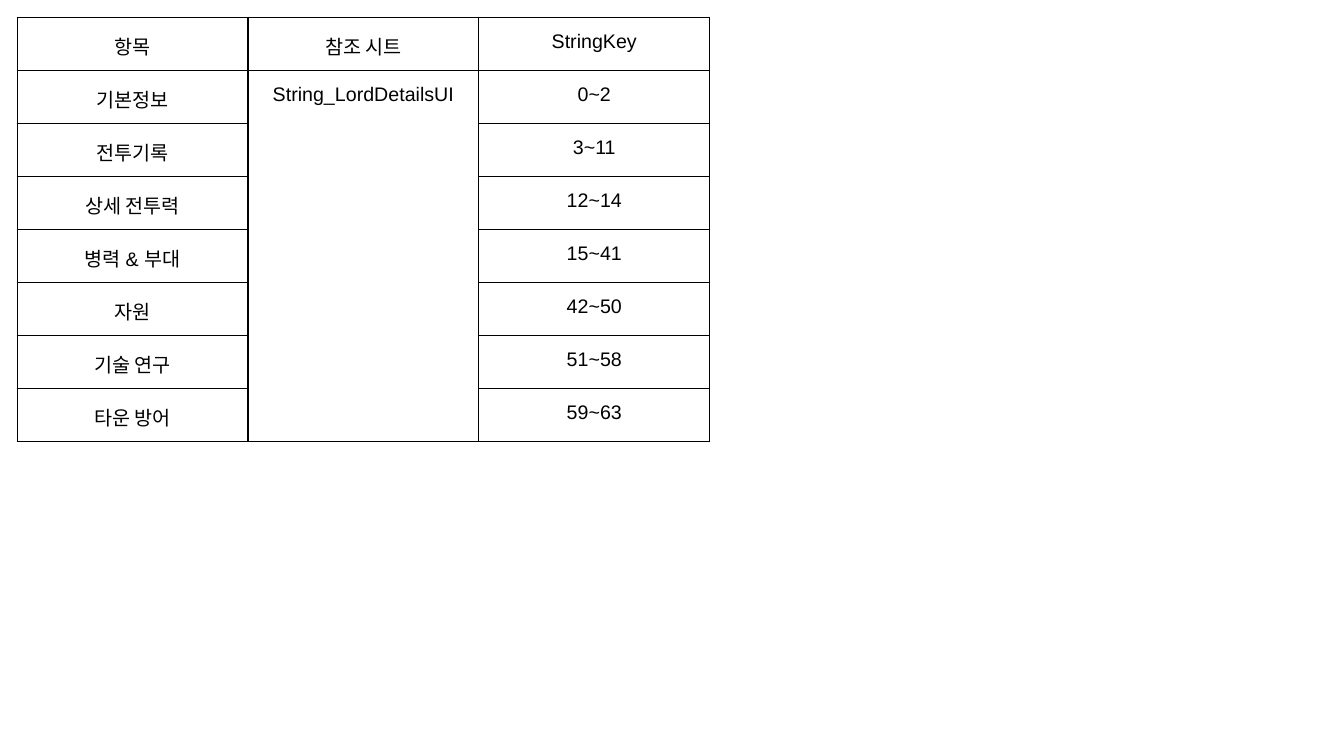
import lxml.etree
import pptx
import pptx.dml.color
import pptx.enum.text
import pptx.oxml.ns
import pptx.util

Inches = pptx.util.Inches
Pt = pptx.util.Pt

COLORS = {"text": "000000", "border": "000000"}
HEADERS = ["항목", "참조 시트", "StringKey"]
SHEET_NAME = "String_LordDetailsUI"
KEY_RANGES = [
    ("기본정보", "0~2"),
    ("전투기록", "3~11"),
    ("상세 전투력", "12~14"),
    ("병력 & 부대", "15~41"),
    ("자원", "42~50"),
    ("기술 연구", "51~58"),
    ("타운 방어", "59~63"),
]


def add_borders(cell):
    properties = cell._tc.get_or_add_tcPr()
    qn = pptx.oxml.ns.qn
    for position, side in enumerate(("a:lnL", "a:lnR", "a:lnT", "a:lnB")):
        line = lxml.etree.Element(qn(side), w=str(Pt(1)))
        fill = lxml.etree.SubElement(line, qn("a:solidFill"))
        lxml.etree.SubElement(fill, qn("a:srgbClr"), val=COLORS["border"])
        properties.insert(position, line)


def format_cell(cell):
    cell.fill.background()
    cell.margin_left = cell.margin_right = Inches(0.07)
    cell.margin_top = cell.margin_bottom = Inches(0.1)
    cell.vertical_anchor = pptx.enum.text.MSO_ANCHOR.TOP
    add_borders(cell)
    for paragraph in cell.text_frame.paragraphs:
        paragraph.alignment = pptx.enum.text.PP_ALIGN.CENTER
        paragraph.line_spacing = 1.15
        for run in paragraph.runs:
            run.font.name = "Arial"
            run.font.size = Pt(14)
            run.font.color.rgb = pptx.dml.color.RGBColor.from_string(COLORS["text"])


def add_key_table(slide, left, top, column_width, row_height):
    rows = [HEADERS] + [[item, "", keys] for item, keys in KEY_RANGES]
    rows[1][1] = SHEET_NAME
    table = slide.shapes.add_table(
        len(rows), len(HEADERS), Inches(left), Inches(top),
        Inches(column_width * len(HEADERS)), Inches(row_height * len(rows)),
    ).table
    table.first_row = False
    table.horz_banding = False
    for column in table.columns:
        column.width = Inches(column_width)
    for row_index, texts in enumerate(rows):
        table.rows[row_index].height = Inches(row_height)
        for column_index, text in enumerate(texts):
            cell = table.cell(row_index, column_index)
            if text:
                cell.text_frame.text = text
            format_cell(cell)
    table.cell(1, 1).merge(table.cell(len(rows) - 1, 1))


def main():
    presentation = pptx.Presentation()
    presentation.slide_width = Inches(13.33)
    presentation.slide_height = Inches(7.5)
    slide = presentation.slides.add_slide(presentation.slide_layouts[6])
    add_key_table(slide, 0.17, 0.17, 2.29, 0.23)
    presentation.save("out.pptx")


if __name__ == "__main__":
    main()
